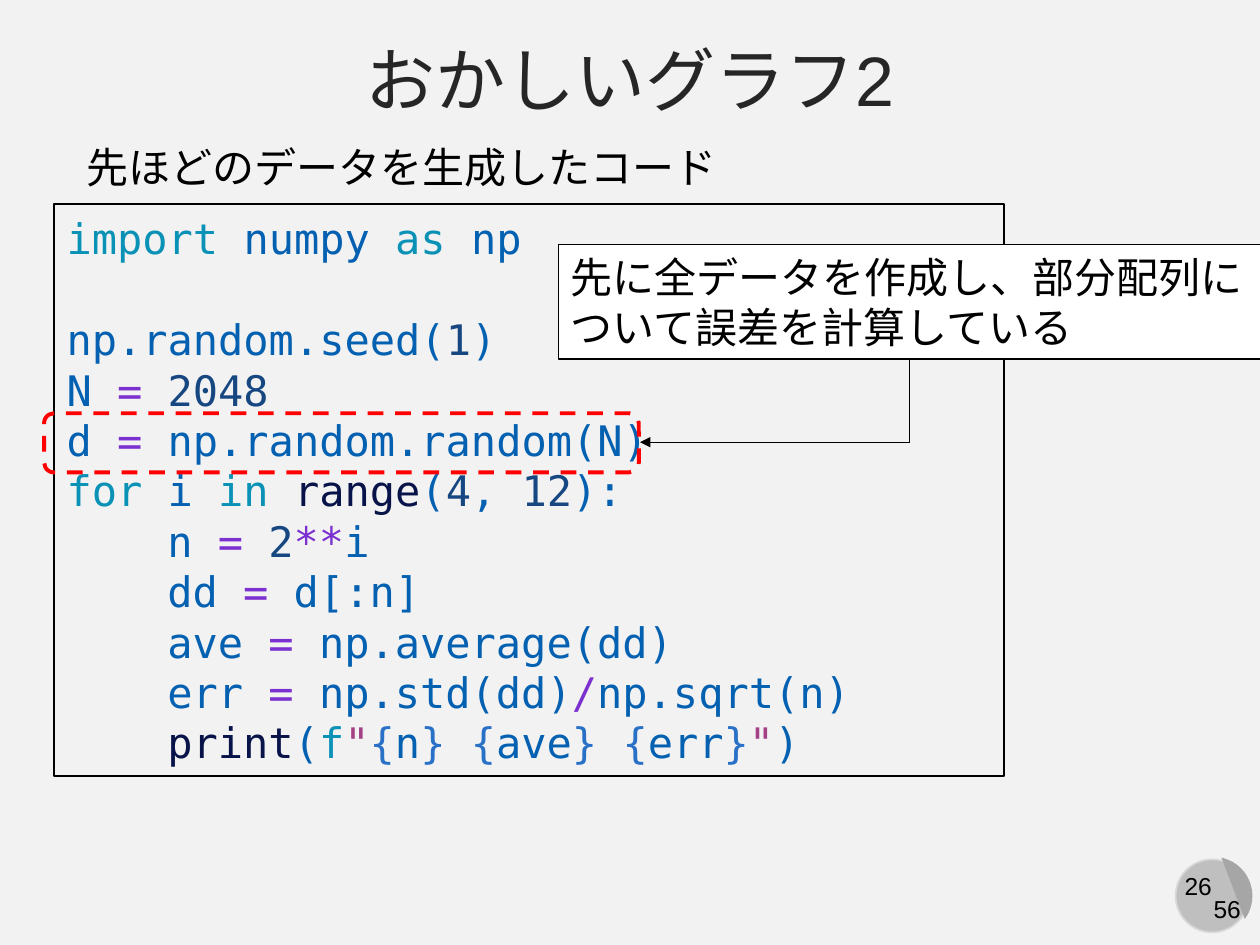
import pptx
import pptx.util
import pptx.dml.color
import pptx.enum.dml
import pptx.enum.shapes
import pptx.enum.text
import pptx.oxml
import pptx.oxml.ns

Inches, Pt = pptx.util.Inches, pptx.util.Pt
SHAPE = pptx.enum.shapes.MSO_SHAPE
ALIGN = pptx.enum.text.PP_ALIGN
ANCHOR = pptx.enum.text.MSO_ANCHOR

COLORS = {
    "background": "F2F2F2", "title": "262626", "black": "000000", "white": "FFFFFF",
    "highlight": "FF0000", "badge": "BFBFBF", "badge_line": "D9D9D9", "badge_half": "A6A6A6",
    "keyword": "0991B6", "name": "0460B1", "number": "174781", "operator": "7B30D0",
    "builtin": "08134A", "quote": "A44185", "brace": "2970C7",
}
TITLE = "おかしいグラフ2"
CAPTION = "先ほどのデータを生成したコード"
CALLOUT = ["先に全データを作成し、部分配列に", "ついて誤差を計算している"]
PAGE_NUMBERS = [("26", (9.29, 6.86, 0.44, 0.34)), ("56", (9.53, 7.04, 0.42, 0.34))]

# Each line: indent level, then (token kind, text) pairs
CODE = [
    (0, [("keyword", "import "), ("name", "numpy "), ("keyword", "as"), ("name", " np")]),
    (0, [("name", "\vnp.random.seed("), ("number", "1"), ("name", ")")]),
    (0, [("name", "N "), ("operator", "= "), ("number", "2048")]),
    (0, [("name", "d "), ("operator", "= "), ("name", "np.random.random(N)")]),
    (0, [("keyword", "for "), ("name", "i "), ("keyword", "in "), ("builtin", "range"),
         ("name", "("), ("number", "4"), ("name", ", "), ("number", "12"), ("name", "):")]),
    (1, [("name", "n "), ("operator", "= "), ("number", "2"), ("operator", "**"), ("name", "i")]),
    (1, [("name", "dd "), ("operator", "="), ("name", " d[:n]")]),
    (1, [("name", "ave "), ("operator", "= "), ("name", "np.average(dd)")]),
    (1, [("name", "err "), ("operator", "= "), ("name", "np.std(dd)"), ("operator", "/"),
         ("name", "np.sqrt(n)")]),
    (1, [("builtin", "print"), ("name", "("), ("keyword", "f"), ("quote", '"'), ("brace", "{"),
         ("name", "n"), ("brace", "} {"), ("name", "ave"), ("brace", "} {"), ("name", "err"),
         ("brace", "}"), ("quote", '"'), ("name", ")")]),
]
INDENT = 0.8  # four monospaced characters at 24 pt


def rgb(name):
    return pptx.dml.color.RGBColor.from_string(COLORS[name])


def place(sp, box):
    sp.left, sp.top, sp.width, sp.height = map(Inches, box)


def style_font(font, size, color="black", name="Arial"):
    font.size, font.name = Pt(size), name
    font.color.rgb = rgb(color)


def add_shape(s, kind, box, fill=None, line=None, width=0.75):
    sp = s.shapes.add_shape(kind, *map(Inches, box))
    sp.shadow.inherit = False
    if fill:
        sp.fill.solid()
        sp.fill.fore_color.rgb = rgb(fill)
    else:
        sp.fill.background()
    if line:
        sp.line.color.rgb = rgb(line)
        sp.line.width = Pt(width)
    else:
        sp.line.fill.background()
    return sp


def write(sp, lines, size, color="black", align=ALIGN.LEFT, wrap=False):
    tf = sp.text_frame
    tf.word_wrap = wrap
    tf.vertical_anchor = ANCHOR.MIDDLE
    tf.text = "\n".join(lines)
    for p in tf.paragraphs:
        p.alignment = align
        for r in p.runs:
            style_font(r.font, size, color)


def add_label(s, text, box, size, align=ALIGN.LEFT):
    write(s.shapes.add_textbox(*map(Inches, box)), [text], size, align=align)


def add_page_badge(s):
    add_shape(s, SHAPE.OVAL, (9.33, 6.82, 0.58, 0.58), "badge", "badge_line", 1)
    half = add_shape(s, SHAPE.CHORD, (9.32, 6.8, 0.62, 0.62), "badge_half")
    half.rotation = 255
    for i, degrees in enumerate((27, 141.42)):
        half.adjustments[i] = degrees * 0.6  # 60000 units a degree, scaled by 100000
    for text, box in PAGE_NUMBERS:
        add_label(s, text, box, 14, ALIGN.CENTER)


def add_code(s, box):
    tf = add_shape(s, SHAPE.RECTANGLE, box, line="black").text_frame
    tf.word_wrap = True
    tf.vertical_anchor = ANCHOR.MIDDLE
    for i, (level, tokens) in enumerate(CODE):
        p = tf.paragraphs[0] if i == 0 else tf.add_paragraph()
        p.alignment = ALIGN.LEFT
        if level:
            p._p.get_or_add_pPr().set("marL", str(Inches(INDENT * level)))
        for kind, text in tokens:
            if text.startswith("\v"):
                p.add_line_break()
            r = p.add_run()
            r.text = text.lstrip("\v")
            style_font(r.font, 24, kind, "DejaVu Sans Mono")
    for br in tf._txBody.iter(pptx.oxml.ns.qn("a:br")):
        br.append(pptx.oxml.parse_xml(
            f'<a:rPr {pptx.oxml.ns.nsdecls("a")} sz="2400">'
            '<a:latin typeface="DejaVu Sans Mono"/></a:rPr>'))


def add_bent_arrow(s, start, end):
    """Arrow that runs down from start, then left to end."""
    (x1, y1), (x2, y2) = start, end
    c = s.shapes.add_connector(pptx.enum.shapes.MSO_CONNECTOR.ELBOW, 0, 0, 0, 0)
    # A quarter turn swaps width and height about the same centre
    w, h = y2 - y1, x1 - x2
    place(c, ((x1 + x2 - w) / 2, (y1 + y2 - h) / 2, w, h))
    c.line.color.rgb = rgb("black")
    c.line.width = Pt(0.5)
    spPr = c._element.spPr
    spPr.find(pptx.oxml.ns.qn("a:xfrm")).set("rot", "5400000")
    spPr.find(pptx.oxml.ns.qn("a:prstGeom")).set("prst", "bentConnector2")
    ns = pptx.oxml.ns.nsdecls("a")
    c.line._get_or_add_ln().append(pptx.oxml.parse_xml(f'<a:tailEnd {ns} type="triangle"/>'))
    spPr.append(pptx.oxml.parse_xml(f"<a:effectLst {ns}/>"))


def main():
    prs = pptx.Presentation()
    prs.slide_width, prs.slide_height = Inches(10), Inches(7.5)
    s = prs.slides.add_slide(prs.slide_layouts[5])
    s.background.fill.solid()
    s.background.fill.fore_color.rgb = rgb("background")

    title = s.shapes.title
    place(title, (0, 0.21, 10, 0.82))
    write(title, [TITLE], 40, "title", ALIGN.CENTER, wrap=True)
    title.text_frame.auto_size = pptx.enum.text.MSO_AUTO_SIZE.NONE

    add_page_badge(s)
    add_code(s, (0.43, 1.62, 7.54, 4.54))
    add_label(s, CAPTION, (0.59, 1.07, 5.25, 0.5), 24)

    frame = add_shape(s, SHAPE.ROUNDED_RECTANGLE, (0.35, 3.28, 4.72, 0.47),
                      line="highlight", width=2.25)
    frame.line.dash_style = pptx.enum.dml.MSO_LINE.DASH
    callout = add_shape(s, SHAPE.RECTANGLE, (4.43, 1.94, 5.59, 0.91), "white", "black")
    write(callout, CALLOUT, 24)
    add_bent_arrow(s, (7.22, 2.85), (5.08, 3.51))

    prs.save("out.pptx")


if __name__ == "__main__":
    main()
